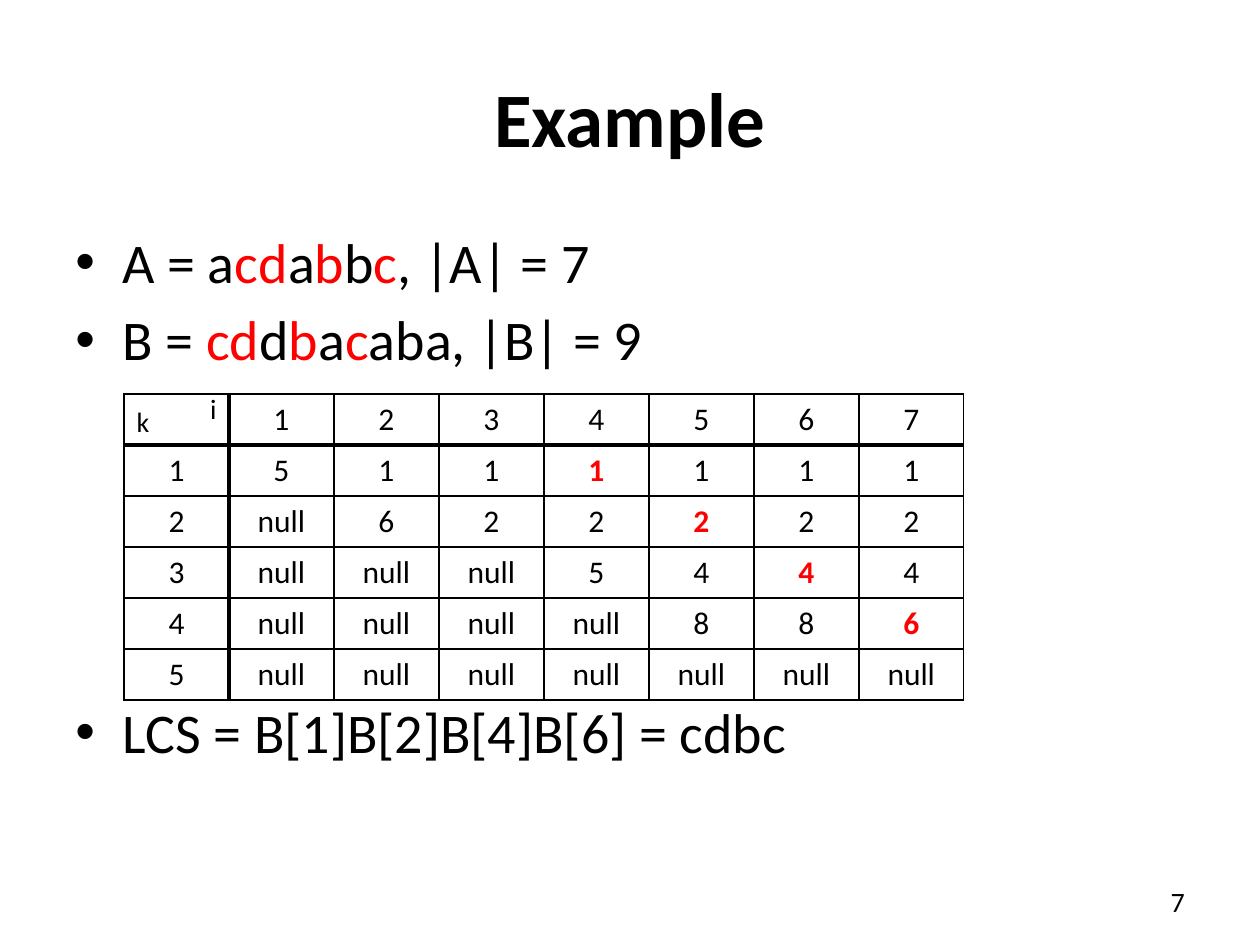
from dataclasses import dataclass

from lxml import etree
from pptx import Presentation
from pptx.dml.color import RGBColor
from pptx.enum.text import MSO_ANCHOR, PP_ALIGN
from pptx.oxml.ns import qn
from pptx.util import Pt

LEFT, CENTER, RIGHT = PP_ALIGN.LEFT, PP_ALIGN.CENTER, PP_ALIGN.RIGHT
MIDDLE = MSO_ANCHOR.MIDDLE
TITLE_ONLY = 5


@dataclass(frozen=True)
class Theme:
    font: str = "Calibri"
    ink: str = "000000"
    accent: str = "FF0000"
    title: int = 44
    body: int = 32
    cell: int = 18
    small: int = 16
    thin: int = 1
    thick: int = 3


THEME = Theme()

# Each bullet: space before in points, then (text, is in the common subsequence)
BULLETS = [
    (0, [("A = a", False), ("cd", True), ("a", False), ("b", True),
         ("b", False), ("c", True), (", |A| = 7", False)]),
    (6, [("B = ", False), ("cd", True), ("d", False), ("b", True),
         ("a", False), ("c", True), ("aba, |B| = 9", False)]),
    # The wide gap leaves room for the table
    (186, [("LCS = B[1]B[2]B[4]B[6] = cdbc", False)]),
]

POSITIONS = [
    ["5", "1", "1", "1", "1", "1", "1"],
    ["null", "6", "2", "2", "2", "2", "2"],
    ["null", "null", "null", "5", "4", "4", "4"],
    ["null", "null", "null", "null", "8", "8", "6"],
    ["null"] * 7,
]


def px(length):
    """Turn pixels, 126 to the inch, into EMU."""
    return round(length * 914400 / 126)


def style(font, size, color=THEME.ink, bold=False):
    font.name = THEME.font
    font.size = Pt(size)
    font.bold = bold
    font.color.rgb = RGBColor.from_string(color)


def write(para, text, size, align, color=THEME.ink, bold=False):
    para.text = text
    para.alignment = align
    for span in para.runs:
        style(span.font, size, color, bold)


def add_title(page, box, text):
    title = page.shapes.title
    title.left, title.top, title.width, title.height = map(px, box)
    title.text_frame.vertical_anchor = MIDDLE
    write(title.text_frame.paragraphs[0], text, THEME.title, CENTER, bold=True)


def add_text_box(page, box):
    frame = page.shapes.add_textbox(*map(px, box)).text_frame
    frame.word_wrap = True
    return frame


def set_bullet(para, indent):
    properties = para._p.get_or_add_pPr()
    properties.set("marL", str(px(indent)))
    properties.set("indent", str(-px(indent)))
    etree.SubElement(properties, qn("a:buFont"), typeface="Arial")
    etree.SubElement(properties, qn("a:buChar"), char="•")


def add_bullets(page, box, bullets):
    frame = add_text_box(page, box)
    for index, (gap, parts) in enumerate(bullets):
        para = frame.add_paragraph() if index else frame.paragraphs[0]
        set_bullet(para, 47)
        para.space_before = Pt(gap)
        for text, common in parts:
            span = para.add_run()
            span.text = text
            style(span.font, THEME.body, THEME.accent if common else THEME.ink)


def set_border(cell, side, width):
    line = etree.SubElement(cell._tc.get_or_add_tcPr(), qn(f"a:ln{side}"), w=str(Pt(width)))
    fill = etree.SubElement(line, qn("a:solidFill"))
    etree.SubElement(fill, qn("a:srgbClr"), val=THEME.ink)


def format_cell(cell, row, column):
    """Rule the cell, with thick lines beside the header row and column."""
    thick_sides = {"L": column == 1, "R": column == 0, "T": row == 1, "B": row == 0}
    for side, thick in thick_sides.items():
        set_border(cell, side, THEME.thick if thick else THEME.thin)
    cell.fill.background()


def fill_corner(cell):
    """Name the column index above right and the row index below left."""
    frame = cell.text_frame
    frame.text = "i\nk"
    for para, text, align, spacing in zip(frame.paragraphs, "ik", (RIGHT, LEFT), (0.7, 0.3)):
        write(para, text, THEME.small, align)
        para.line_spacing = spacing


def add_position_table(page, box, positions):
    columns = len(positions[0]) + 1
    header = [""] + [str(number) for number in range(1, columns)]
    grid = [header] + [[str(k)] + values for k, values in enumerate(positions, 1)]
    table = page.shapes.add_table(len(grid), columns, *map(px, box)).table
    table.first_row = table.horz_banding = False
    for line in table.columns:
        line.width = px(box[2] // columns)
    for line in table.rows:
        line.height = px(box[3] // len(grid))
    for row, values in enumerate(grid):
        for column, text in enumerate(values):
            cell = table.cell(row, column)
            format_cell(cell, row, column)
            # The solution runs down one diagonal
            solution = 1 <= row and column == row + 3
            write(cell.text_frame.paragraphs[0], text, THEME.cell, CENTER,
                  THEME.accent if solution else THEME.ink, solution)
    fill_corner(table.cell(0, 0))


def add_page_number(page, box, number):
    frame = add_text_box(page, box)
    frame.vertical_anchor = MIDDLE
    write(frame.paragraphs[0], number, THEME.small, RIGHT)


def main():
    deck = Presentation()
    deck.slide_width, deck.slide_height = px(1260), px(945)
    page = deck.slides.add_slide(deck.slide_layouts[TITLE_ONLY])
    add_title(page, (63, 38, 1134, 158), "Example")
    add_bullets(page, (63, 221, 1134, 624), BULLETS)
    add_page_number(page, (903, 876, 294, 50), "7")
    add_position_table(page, (124, 394, 840, 306), POSITIONS)
    deck.save("out.pptx")


if __name__ == "__main__":
    main()
